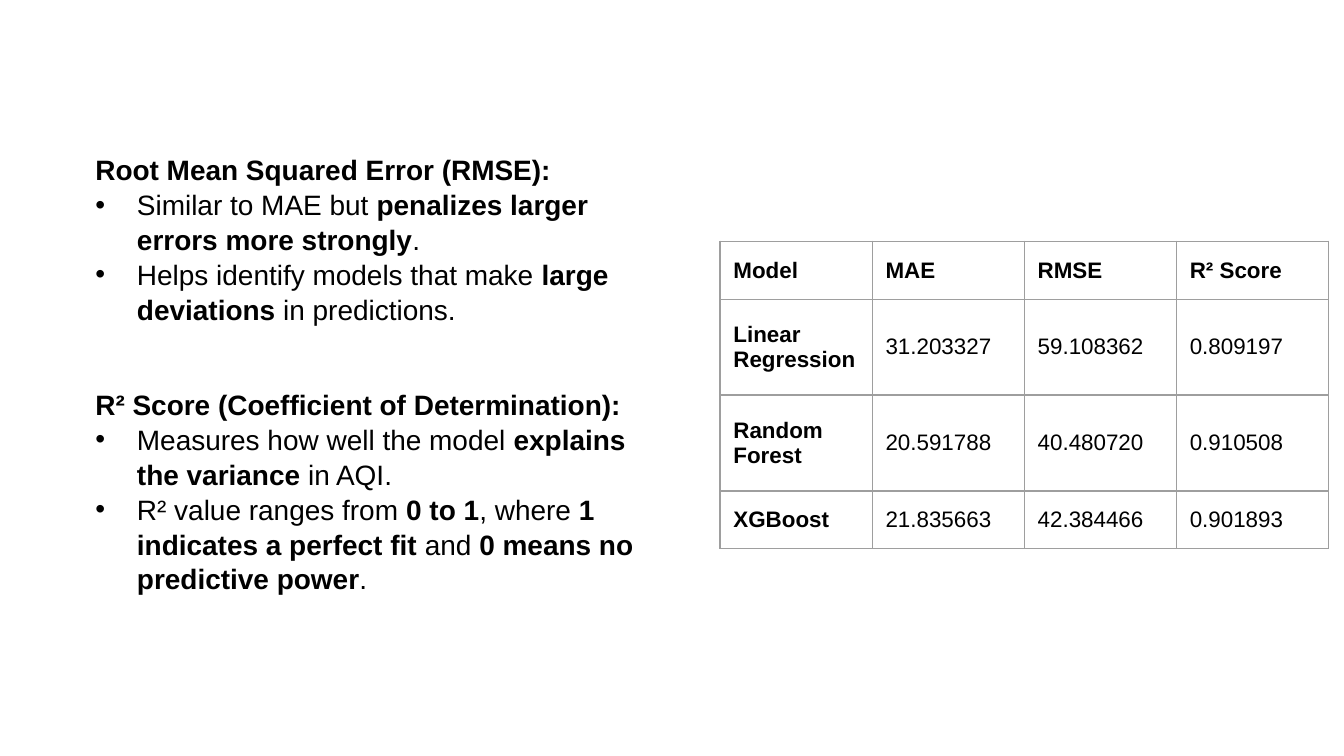
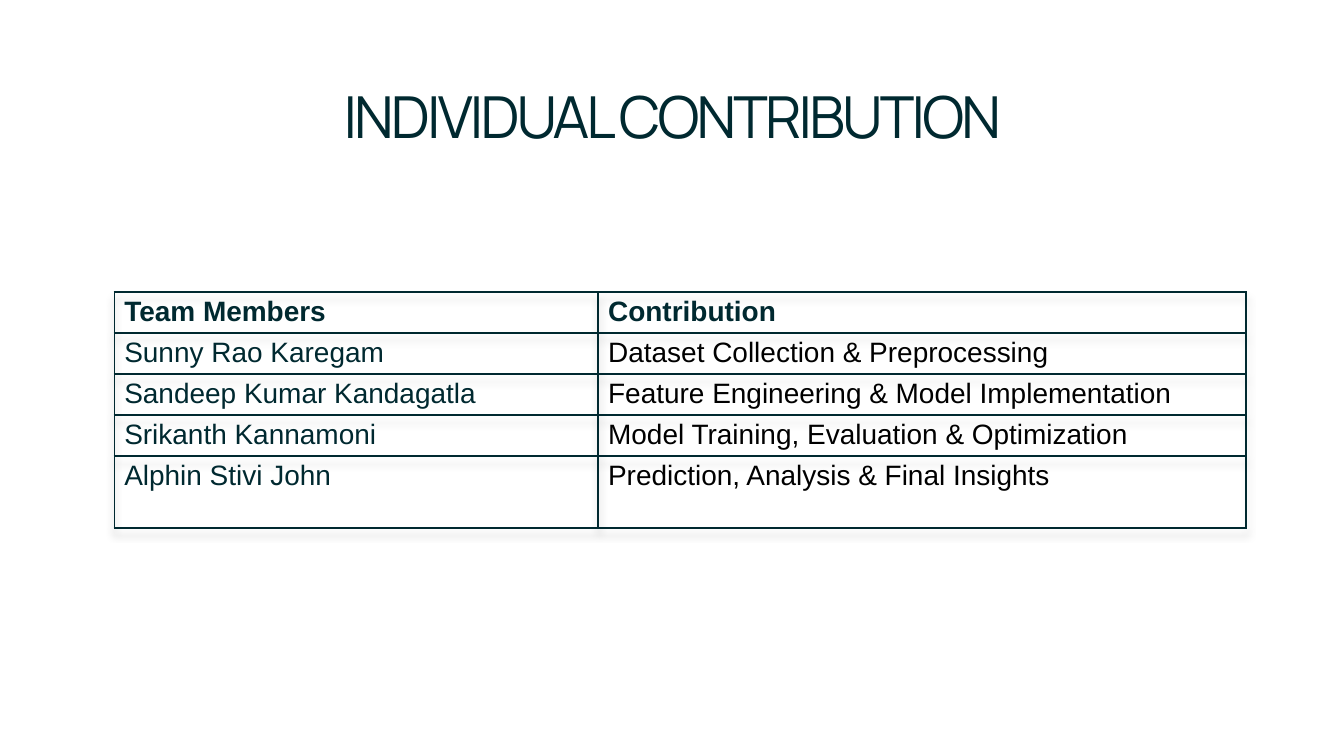
from lxml import etree
from pptx import Presentation
from pptx.dml.color import RGBColor
from pptx.enum import text as tx
from pptx.oxml import parse_xml
from pptx.oxml.ns import qn
from pptx.util import Pt

HUES = {"ink": "000000", "deep": "002930", "rule": "9E9E9E"}
BODY, HEAD = "Arial", "Manrope"
NS = 'xmlns:a="http://schemas.openxmlformats.org/drawingml/2006/main"'


class Deck:
    """Holds the style and the current slide."""

    def __init__(self):
        self.prs = Presentation()
        self.prs.slide_width, self.prs.slide_height = Pt(720), Pt(405)
        self.slide = None

    def page(self, layout):
        self.slide = self.prs.slides.add_slide(self.prs.slide_layouts[layout])

    def style(self, run, size, hue, bold=False, face=BODY):
        font = run.font
        font.name, font.size, font.bold = face, Pt(size), bold
        font.color.rgb = RGBColor.from_string(HUES[hue])

    def title(self, words, left, top, width, height):
        box = self.slide.shapes.title
        box.left, box.top, box.width, box.height = map(Pt, (left, top, width, height))
        frame = box.text_frame
        frame.text = words
        frame.word_wrap = True
        frame.auto_size = tx.MSO_AUTO_SIZE.NONE
        frame.vertical_anchor = tx.MSO_ANCHOR.MIDDLE
        frame.margin_left = frame.margin_right = Pt(7.2)
        frame.margin_top = frame.margin_bottom = Pt(7.2)
        para = frame.paragraphs[0]
        para.alignment = tx.PP_ALIGN.CENTER
        self.style(para.runs[0], 31, "deep", face=HEAD)
        para.runs[0].font._element.set("spc", "-150")

    def bullet(self, para, indent=22.3):
        props = para._p.get_or_add_pPr()
        props.set("marL", str(Pt(indent)))
        props.set("indent", str(-Pt(indent)))
        color = etree.SubElement(props, qn("a:buClr"))
        etree.SubElement(color, qn("a:srgbClr"), val=HUES["ink"])
        etree.SubElement(props, qn("a:buFont"), typeface=BODY)
        etree.SubElement(props, qn("a:buChar"), char="•")

    def notes(self, head, points, left, top, width, height):
        """Bold heading over bullets; every second part of a bullet is bold."""
        box = self.slide.shapes.add_textbox(*map(Pt, (left, top, width, height)))
        frame = box.text_frame
        frame.word_wrap = True
        para = frame.paragraphs[0]
        para.text = head
        para.line_spacing = 1.5
        self.style(para.runs[0], 15, "ink", True)
        for parts in points:
            para = frame.add_paragraph()
            para.line_spacing = 1.04
            self.bullet(para)
            for i, part in enumerate(parts):
                run = para.add_run()
                run.text = part
                self.style(run, 15, "ink", i % 2 == 1)

    def border(self, cell, hue, weight):
        props = cell._tc.get_or_add_tcPr()
        for side in "LRTB":
            props.append(parse_xml(
                f'<a:ln{side} {NS} w="{Pt(weight)}"><a:solidFill>'
                f'<a:srgbClr val="{HUES[hue]}"/></a:solidFill></a:ln{side}>'))

    def table(self, rows, left, top, cols, highs, size, look, line, pad, anchor):
        """look(row, col) gives the hue and weight of a cell's text."""
        frame = self.slide.shapes.add_table(
            len(rows), len(cols), Pt(left), Pt(top), Pt(sum(cols)), Pt(sum(highs)))
        grid = frame.table
        grid.first_row = grid.horz_banding = False
        for col, wide in zip(grid.columns, cols):
            col.width = Pt(wide)
        for r, (row, high) in enumerate(zip(rows, highs)):
            grid.rows[r].height = Pt(high)
            for c, words in enumerate(row):
                cell = grid.cell(r, c)
                cell.text = words
                self.style(cell.text_frame.paragraphs[0].runs[0], size, *look(r, c))
                cell.margin_left = cell.margin_right = Pt(pad[0])
                cell.margin_top = cell.margin_bottom = Pt(pad[1])
                cell.vertical_anchor = anchor
                self.border(cell, *line)
                cell.fill.background()
        return grid

    def shade(self, grid):
        grid._tbl.tblPr.insert(0, parse_xml(
            f'<a:effectLst {NS}><a:outerShdw blurRad="50800" dist="38100" '
            'dir="5400000" algn="t" rotWithShape="0"><a:srgbClr val="000000">'
            '<a:alpha val="20000"/></a:srgbClr></a:outerShdw></a:effectLst>'))


def main():
    deck = Deck()

    # Metrics and model scores
    deck.page(6)
    scores = [
        ("Model", "MAE", "RMSE", "R² Score"),
        ("Linear Regression", "31.203327", "59.108362", "0.809197"),
        ("Random Forest", "20.591788", "40.480720", "0.910508"),
        ("XGBoost", "21.835663", "42.384466", "0.901893"),
    ]
    deck.table(scores, 385.7, 129.3, [81.5] * 4, [31, 51.4, 51.4, 31], 12,
               lambda r, c: ("ink", r == 0 or c == 0), ("rule", 0.75),
               (7.2, 7.2), tx.MSO_ANCHOR.MIDDLE)
    deck.notes("Root Mean Squared Error (RMSE):", [
        ("Similar to MAE but ", "penalizes larger errors more strongly", "."),
        ("Helps identify models that make ", "large deviations", " in predictions."),
    ], 44, 69.4, 316, 125.3)
    deck.notes("R² Score (Coefficient of Determination):", [
        ("Measures how well the model ", "explains the variance", " in AQI."),
        ("R² value ranges from ", "0 to 1", ", where ", "1 indicates a perfect fit",
         " and ", "0 means no predictive power", "."),
    ], 44, 195, 316, 143.3)

    # Team contributions
    deck.page(5)
    deck.title("INDIVIDUAL CONTRIBUTION", 57, 39.6, 606, 44.6)
    team = [
        ("Team Members", "Contribution"),
        ("Sunny Rao Karegam", "Dataset Collection & Preprocessing"),
        ("Sandeep Kumar Kandagatla", "Feature Engineering & Model Implementation"),
        ("Srikanth Kannamoni", "Model Training, Evaluation & Optimization"),
        ("Alphin Stivi John", "Prediction, Analysis & Final Insights"),
    ]
    grid = deck.table(team, 61.3, 156.4, [259.2, 347], [22] * 4 + [38.4], 15,
                      lambda r, c: ("ink" if r and c else "deep", r == 0),
                      ("deep", 1), (5.3, 2.4), tx.MSO_ANCHOR.TOP)
    deck.shade(grid)

    deck.prs.save("out.pptx")


if __name__ == "__main__":
    main()
